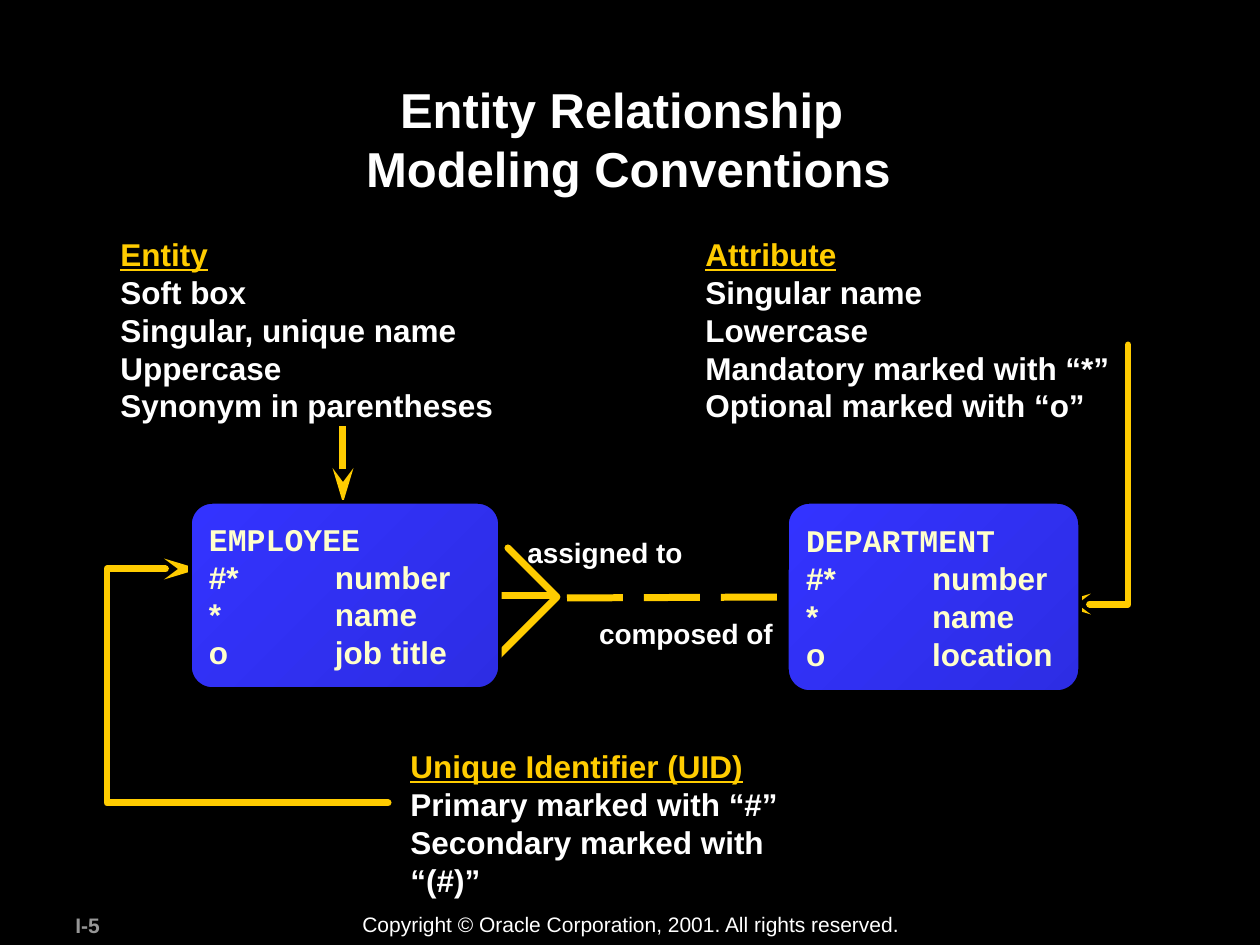
from lxml.etree import SubElement
from pptx import Presentation
from pptx.dml.color import RGBColor
from pptx.enum.dml import MSO_LINE
from pptx.enum.shapes import MSO_CONNECTOR, MSO_SHAPE
from pptx.enum.text import MSO_ANCHOR, MSO_AUTO_SIZE, PP_ALIGN
from pptx.oxml.ns import qn
from pptx.util import Pt

PX = 914400 / 126
BLACK = RGBColor(0x00, 0x00, 0x00)
WHITE = RGBColor(0xFF, 0xFF, 0xFF)
GOLD = RGBColor(0xFF, 0xCC, 0x00)
CREAM = RGBColor(0xFF, 0xFF, 0xCC)
GREY = RGBColor(0x96, 0x96, 0x96)
NAVY = RGBColor(0x2D, 0x2D, 0xE4)
BLUE = RGBColor(0x33, 0x33, 0xFF)


def write(frame, text, size, color, bold=True, align=PP_ALIGN.LEFT):
    frame.text = text
    for para in frame.paragraphs:
        para.alignment = align
        for run in para.runs:
            font = run.font
            font.name, font.size, font.bold = "Arial", Pt(size), bold
            font.color.rgb = color


def stroke(shape, end=None, cap="rnd"):
    """Give a gold line; end is headEnd or tailEnd for an arrow there."""
    shape.line.color.rgb = GOLD
    shape.line.width = Pt(4)
    ln = shape.line._get_or_add_ln()
    ln.set("cap", cap)
    SubElement(ln, qn("a:round"))
    if end:
        SubElement(ln, qn("a:" + end), type="stealth", w="med", len="lg")


prs = Presentation()
prs.slide_width, prs.slide_height = round(1260 * PX), round(945 * PX)
slide = prs.slides.add_slide(prs.slide_layouts[5])
slide.background.fill.solid()
slide.background.fill.fore_color.rgb = BLACK
shapes = slide.shapes

title = shapes.title
title.left, title.top, title.width, title.height = [
    round(n * PX) for n in (118, 73, 1021, 121)]
frame = title.text_frame
frame.auto_size = MSO_AUTO_SIZE.NONE
frame.vertical_anchor = MSO_ANCHOR.TOP
write(frame, "Entity Relationship \vModeling Conventions", 28, WHITE,
      align=PP_ALIGN.CENTER)

# Notes: a gold underlined heading over white rules
notes = [
    (108, 229, 398, 202, "Entity\nSoft box\nSingular, unique name\n"
     "Uppercase\nSynonym in parentheses"),
    (693, 229, 430, 202, "Attribute\nSingular name\nLowercase\n"
     "Mandatory marked with “*”\nOptional marked with “o”"),
    (398, 741, 457, 126, "Unique Identifier (UID)\n"
     "Primary marked with “#”\nSecondary marked with “(#)”"),
]
for *place, text in notes:
    frame = shapes.add_textbox(*[round(n * PX) for n in place]).text_frame
    frame.word_wrap = False
    write(frame, text, 18, WHITE)
    head = frame.paragraphs[0].runs[0].font
    head.color.rgb = GOLD
    head.underline = True

# Crow's foot and the arrows that bend
paths = [
    ([(508, 548), (557, 597), (494, 660)], None),
    ([(1056, 604), (1128, 604), (1128, 345)], "headEnd"),
    ([(388, 803), (107, 803), (107, 569), (199, 569)], "tailEnd"),
]
lines = [
    (552, 596, 467, 596, None, None),
    (343, 503, 343, 426, "headEnd", None),
    (567, 598, 789, 597, None, MSO_LINE.LONG_DASH),
]
for points, end in paths:
    form = shapes.build_freeform(*points[0], scale=PX)
    form.add_line_segments(points[1:], close=False)
    bend = form.convert_to_shape()
    bend.shadow.inherit = False
    bend.fill.background()
    stroke(bend, end)
for *ends, end, dash in lines:
    line = shapes.add_connector(MSO_CONNECTOR.STRAIGHT,
                                *[round(n * PX) for n in ends])
    if dash:
        line.line.dash_style = dash
    stroke(line, end, cap="flat")
    SubElement(line._element.spPr, qn("a:effectLst"))

# Entities
entities = [
    (190, 502, 310, 187, "EMPLOYEE", "job title"),
    (787, 502, 293, 190, "DEPARTMENT", "location"),
]
for *place, name, extra in entities:
    box = shapes.add_shape(MSO_SHAPE.ROUNDED_RECTANGLE,
                           *[round(n * PX) for n in place])
    box.adjustments[0] = 0.12
    box.shadow.inherit = False
    box.fill.gradient()
    box.fill.gradient_angle = 135
    for stop, color in zip(box.fill.gradient_stops, (NAVY, BLUE)):
        stop.color.rgb = color
    box.fill.gradient_stops[0].position = 0
    box.fill.gradient_stops[1].position = 1
    box.line.color.rgb = BLACK
    box.line.width = Pt(2)
    frame = box.text_frame
    frame.vertical_anchor = MSO_ANCHOR.MIDDLE
    write(frame, f"{name}\n#* \tnumber\n*\tname\no\t{extra}", 18, CREAM)
    frame.paragraphs[0].runs[0].font.name = "Courier New"
    for para in frame.paragraphs[1:]:
        tabs = SubElement(para._p.get_or_add_pPr(), qn("a:tabLst"))
        SubElement(tabs, qn("a:tab"), pos="914400", algn="l")

labels = [
    (515, 529, 180, 47, "assigned to", 16, WHITE, True, PP_ALIGN.CENTER),
    (519, 610, 334, 47, "composed of", 16, WHITE, True, PP_ALIGN.CENTER),
    (63, 906, 132, 38, "I-5", 12, GREY, True, PP_ALIGN.LEFT),
    (350, 905, 564, 38,
     "Copyright © Oracle Corporation, 2001. All rights reserved.",
     12, WHITE, False, PP_ALIGN.LEFT),
]
for *place, text, size, color, bold, align in labels:
    frame = shapes.add_textbox(*[round(n * PX) for n in place]).text_frame
    frame.word_wrap = True
    write(frame, text, size, color, bold, align)

prs.save("out.pptx")
